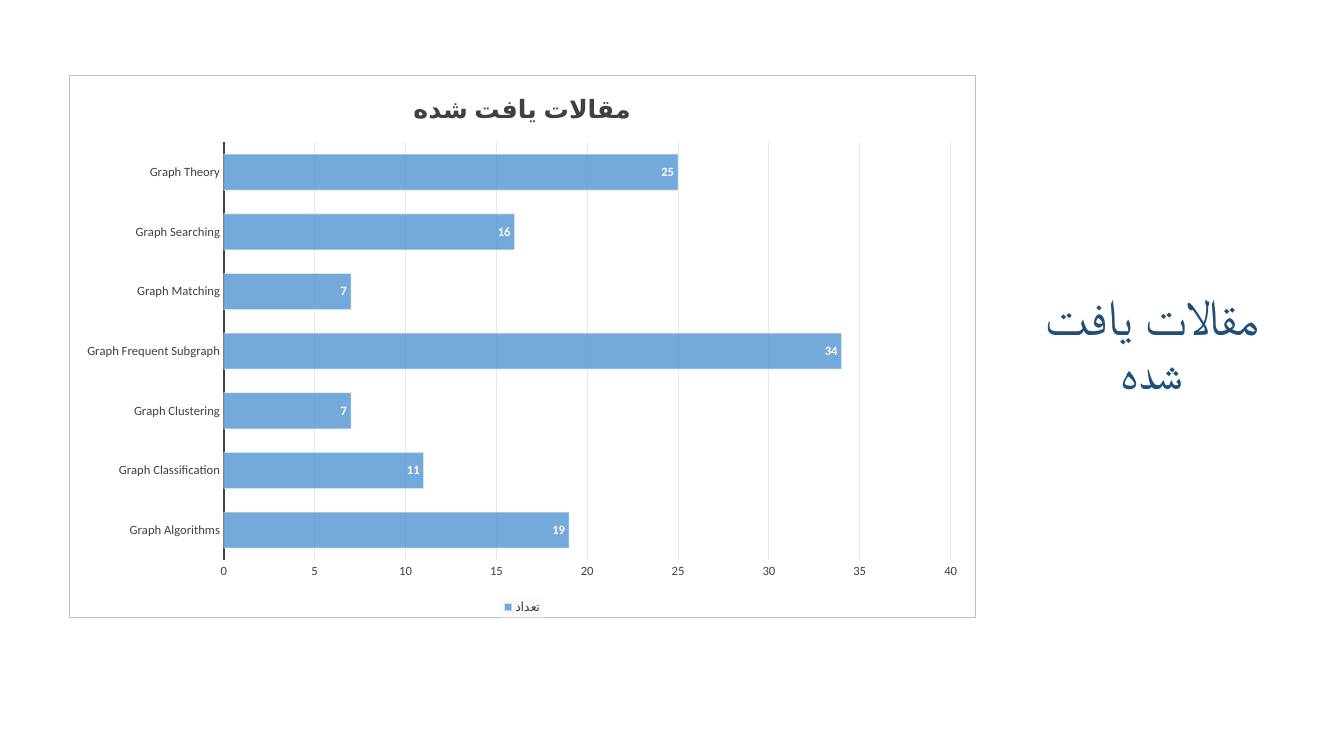
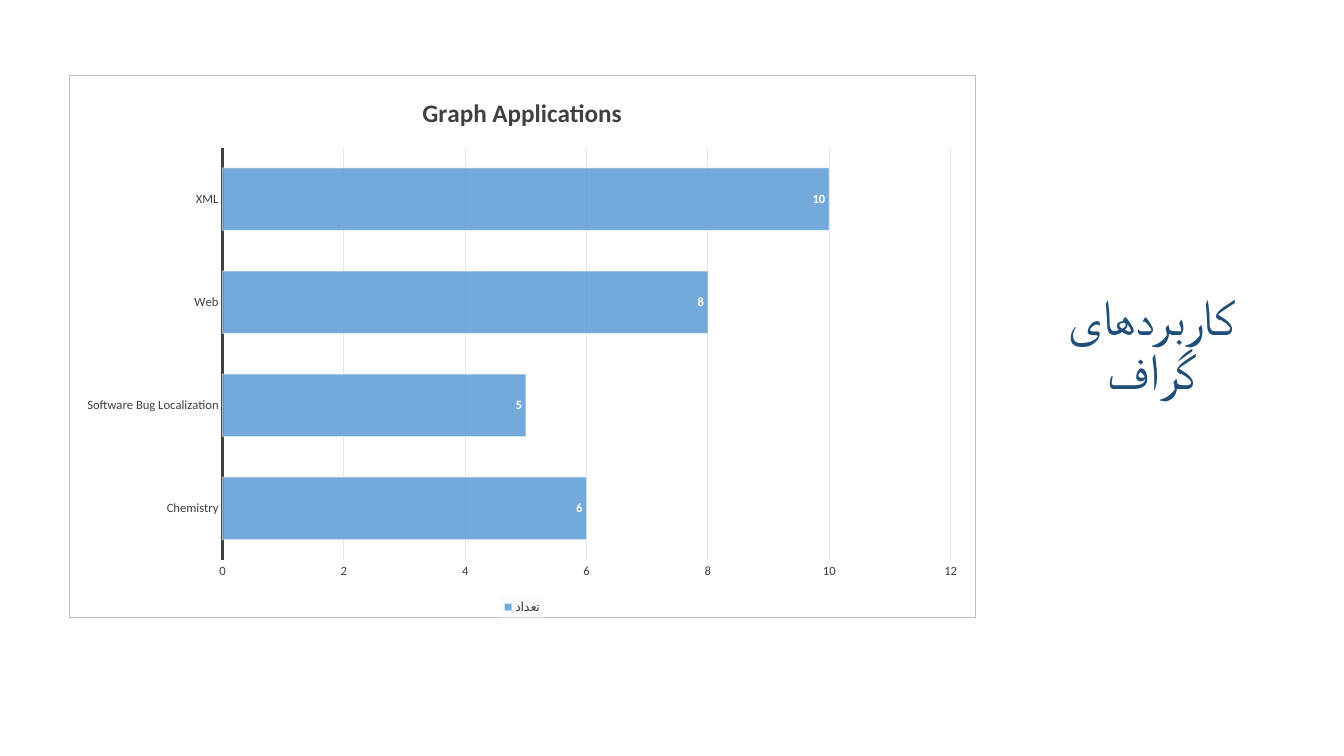
from lxml import etree
from pptx import Presentation
from pptx import util as u
from pptx.chart import data as cd
from pptx.dml import color as dc
from pptx.enum import chart as ce
from pptx.enum import text as te
from pptx.oxml import ns

FACE = "Calibri"
NAVY, BLUE, DARK, WHITE = "1F4E79", "5B9BD5", "404040", "FFFFFF"
GRID, EDGE, PALE = "E7E7E7", "BFBFBF", "FAFAFA"
SMALL = dict(name=FACE, size=u.Pt(9), color=DARK)
TOP, HIGH = 1.88, 13.69
CHART_BOX = (1.73, TOP, 22.86, HIGH)
TITLE_BOX = (25.91, TOP, 6.25, HIGH)

PAGES = [
    dict(title="مقالات یافت شده", head="مقالات یافت شده", top=40, step=5,
         rows={"Graph Algorithms": 19, "Graph Classification": 11,
               "Graph Clustering": 7, "Graph Frequent Subgraph": 34,
               "Graph Matching": 7, "Graph Searching": 16,
               "Graph Theory": 25}),
    dict(title="کاربردهای گراف", head="Graph Applications", top=12, step=2,
         rows={"Chemistry": 6, "Software Bug Localization": 5,
               "Web": 8, "XML": 10}),
]


def put(item, **vals):
    for key, val in vals.items():
        setattr(item, key, val)


def paint(fill, tone, alpha=100):
    fill.solid()
    fill.fore_color.rgb = dc.RGBColor.from_string(tone)
    if alpha < 100:
        clr = fill._xPr.find(".//" + ns.qn("a:srgbClr"))
        etree.SubElement(clr, ns.qn("a:alpha"), val=str(alpha * 1000))


def style(font, color, **vals):
    put(font, **vals)
    paint(font.fill, color)


def rule(line, tone, width, alpha=100):
    line.width = u.Pt(width)
    paint(line.fill, tone, alpha)


def frame(part, fill, edge=None):
    prop = etree.Element(ns.qn("c:spPr"))
    tones = [(prop, fill)]
    part.find(ns.qn("c:txPr")).addprevious(prop)
    if edge:
        line = etree.Element(ns.qn("a:ln"), w=str(u.Pt(0.75)))
        tones.append((line, edge))
    for host, tone in tones:
        solid = etree.SubElement(host, ns.qn("a:solidFill"))
        etree.SubElement(solid, ns.qn("a:srgbClr"), val=tone)
    if edge:
        prop.append(line)


def add_title(slide, box, words):
    body = slide.shapes.add_textbox(*map(u.Cm, box)).text_frame
    put(body, word_wrap=True, vertical_anchor=te.MSO_ANCHOR.MIDDLE)
    para = body.paragraphs[0]
    put(para, text=words, alignment=te.PP_ALIGN.CENTER, line_spacing=0.9)
    para._p.get_or_add_pPr().set("rtl", "1")
    style(para.runs[0].font, NAVY, name=FACE, size=u.Pt(36))


def add_axes(chart, top, step):
    cat, val = chart.category_axis, chart.value_axis
    for axis in (cat, val):
        put(axis, major_tick_mark=ce.XL_TICK_MARK.NONE,
            minor_tick_mark=ce.XL_TICK_MARK.NONE)
        style(axis.tick_labels.font, **SMALL)
    rule(cat.format.line, DARK, 1.5)
    put(val, minimum_scale=0, maximum_scale=top, major_unit=step,
        has_major_gridlines=True)
    val.format.line.fill.background()
    rule(val.major_gridlines.format.line, GRID, 0.75)


def add_bars(chart):
    plot = chart.plots[0]
    put(plot, gap_width=65, vary_by_categories=False, has_data_labels=True)
    bars = plot.series[0]
    bars.invert_if_negative = False
    paint(bars.format.fill, BLUE, 85)
    rule(bars.format.line, WHITE, 0.75, 50)
    tags = plot.data_labels
    put(tags, show_value=True, position=ce.XL_LABEL_POSITION.INSIDE_END)
    style(tags.font, **{**SMALL, "color": WHITE, "bold": True})


def add_chart(slide, box, head, rows, top, step):
    data = cd.CategoryChartData()
    data.categories = list(rows)
    data.add_series("تعداد", list(rows.values()))
    chart = slide.shapes.add_chart(
        ce.XL_CHART_TYPE.BAR_CLUSTERED, *map(u.Cm, box), data).chart
    style(chart.font, "000000", name=FACE, size=u.Pt(10))
    frame(chart._chartSpace, WHITE, EDGE)
    put(chart, has_title=True, has_legend=True)
    para = chart.chart_title.text_frame.paragraphs[0]
    para.text = head
    style(para.runs[0].font, DARK, name=FACE, size=u.Pt(18), bold=True)
    chart.chart_title.include_in_layout = False
    legend = chart.legend
    put(legend, position=ce.XL_LEGEND_POSITION.BOTTOM,
        include_in_layout=False)
    style(legend.font, **SMALL)
    frame(legend._element, PALE)
    add_axes(chart, top, step)
    add_bars(chart)


def main():
    deck = Presentation()
    put(deck, slide_width=u.Cm(33.87), slide_height=u.Cm(19.05))
    for page in PAGES:
        slide = deck.slides.add_slide(deck.slide_layouts[6])
        add_title(slide, TITLE_BOX, page["title"])
        add_chart(slide, CHART_BOX, page["head"], page["rows"],
                  page["top"], page["step"])
    deck.save("out.pptx")


if __name__ == "__main__":
    main()
